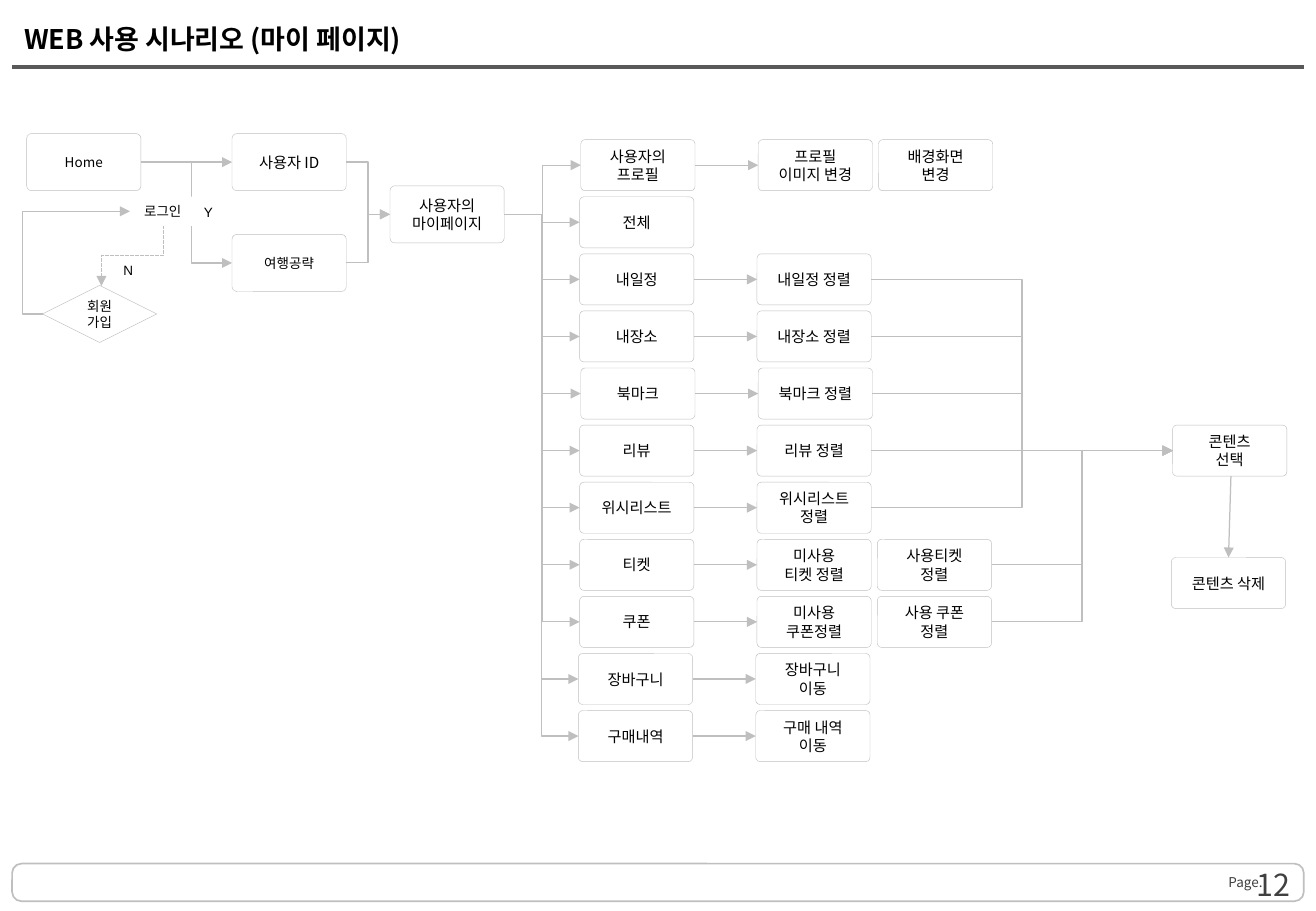
from dataclasses import dataclass

from lxml import etree
from pptx import Presentation
from pptx import util as u
from pptx.dml.color import RGBColor
from pptx.enum import dml, shapes, text
from pptx.oxml.ns import qn

BLACK = RGBColor(0x00, 0x00, 0x00)
WHITE = RGBColor(0xFF, 0xFF, 0xFF)
SILVER = RGBColor(0xBF, 0xBF, 0xBF)
SLATE = RGBColor(0x59, 0x59, 0x59)
CHARCOAL = RGBColor(0x40, 0x40, 0x40)
KOREAN = "Noto Sans CJK KR"
LATIN = "Arial"

BOX_WIDTH, ROW_HEIGHT, STEP_HEIGHT = 0.94, 0.42, 0.47
ROW_TOP, ROW_PITCH = 1.15, 0.47
COLUMNS = (4.77, 6.23, 7.22)
Point = tuple[float, float]
ROUNDED = shapes.MSO_SHAPE.ROUNDED_RECTANGLE


@dataclass
class Box:
    """A node of the flow chart, in inches."""
    label: str
    left: float
    top: float
    height: float = ROW_HEIGHT
    size: float = 9
    kind: shapes.MSO_SHAPE = ROUNDED

    @property
    def middle(self) -> float:
        return self.top + self.height / 2

    @property
    def entry(self) -> Point:
        return self.left, self.middle

    @property
    def exit(self) -> Point:
        return self.left + BOX_WIDTH, self.middle


@dataclass
class Label:
    """A piece of free text, in inches."""
    content: str
    left: float
    top: float
    width: float
    height: float
    size: float = 8
    font: str = LATIN
    color: RGBColor = BLACK
    bold: bool = False
    align: text.PP_ALIGN = text.PP_ALIGN.CENTER
    anchor: text.MSO_ANCHOR = text.MSO_ANCHOR.TOP
    wrap: bool = False
    margin: float | None = None
    fill: RGBColor | None = None


@dataclass
class Row:
    """A menu entry of my page and the steps that follow it."""
    labels: list[str]
    selects: bool = False
    shift: float = 0


ROWS = [
    Row(["사용자의\n프로필", "프로필\n이미지 변경", "배경화면\n변경"], shift=0.01),
    Row(["전체"]),
    Row(["내일정", "내일정 정렬"], True),
    Row(["내장소", "내장소 정렬"], True),
    Row(["북마크", "북마크 정렬"], True, 0.01),
    Row(["리뷰", "리뷰 정렬"], True),
    Row(["위시리스트", "위시리스트 정렬"], True),
    Row(["티켓", "미사용\n티켓 정렬", "사용티켓\n정렬"], True),
    Row(["쿠폰", "미사용 쿠폰정렬", "사용 쿠폰\n정렬"], True),
    Row(["장바구니", "장바구니\n이동"], shift=-0.01),
    Row(["구매내역", "구매 내역\n이동"], shift=-0.01),
]

HOME = Box("Home", 0.22, 1.1, STEP_HEIGHT, 8)
USER_ID = Box("사용자 ID", 1.91, 1.1, STEP_HEIGHT)
GUIDE = Box("여행공략", 1.91, 1.93, STEP_HEIGHT, 8)
MY_PAGE = Box("사용자의\n마이페이지", 3.21, 1.53, STEP_HEIGHT)
SIGN_UP = Box("회원가입", 0.35, 2.35, STEP_HEIGHT, 8, shapes.MSO_SHAPE.FLOWCHART_DECISION)
SELECT = Box("콘텐츠\n선택", 9.65, 3.5)
DELETE = Box("콘텐츠 삭제", 9.64, 4.59)

LABELS = [
    Label("Page.", 10.11, 7.2, 0.46, 0.13, 8, KOREAN, CHARCOAL, align=text.PP_ALIGN.LEFT,
          anchor=text.MSO_ANCHOR.MIDDLE, wrap=True, margin=0),
    Label("12", 8.19, 7.2, 2.53, 0.16, 18, KOREAN, CHARCOAL, align=text.PP_ALIGN.RIGHT,
          anchor=text.MSO_ANCHOR.MIDDLE, wrap=True),
    Label("WEB 사용 시나리오 (마이 페이지)", 0.1, 0.08, 10.63, 0.47, 16, KOREAN, bold=True,
          align=text.PP_ALIGN.LEFT, anchor=text.MSO_ANCHOR.MIDDLE),
    Label("N", 0.91, 2.11, 0.29, 0.24),
    Label("Y", 1.58, 1.63, 0.27, 0.24),
    Label("로그인", 1.07, 1.62, 0.54, 0.24, fill=WHITE),
]


def write(shape, content: str, size: float, font: str = KOREAN, color: RGBColor = BLACK,
          bold: bool = False, align: text.PP_ALIGN = text.PP_ALIGN.CENTER) -> None:
    shape.text_frame.text = content
    for paragraph in shape.text_frame.paragraphs:
        paragraph.alignment = align
        paragraph.font.size = u.Pt(size)
        paragraph.font.name = font
        paragraph.font.bold = bold
        paragraph.font.color.rgb = color
    for latin in list(shape.element.iter(qn("a:latin"))):
        east_asian = etree.Element(qn("a:ea"), typeface=KOREAN)
        latin.addnext(east_asian)


def add_outline(slide, kind: shapes.MSO_SHAPE, left: float, top: float, width: float,
                height: float, line_width: float, corner: float):
    shape = slide.shapes.add_shape(kind, *map(u.Inches, (left, top, width, height)))
    shape.shadow.inherit = False
    shape.line.color.rgb = SILVER
    shape.line.width = u.Pt(line_width)
    if kind == ROUNDED:
        shape.adjustments[0] = corner
    return shape


def add_box(slide, box: Box) -> None:
    shape = add_outline(slide, box.kind, box.left, box.top, BOX_WIDTH, box.height, 0.25, 0.085)
    shape.fill.solid()
    shape.fill.fore_color.rgb = WHITE
    shape.text_frame.vertical_anchor = text.MSO_ANCHOR.MIDDLE
    write(shape, box.label, box.size)


def add_label(slide, label: Label) -> None:
    area = (label.left, label.top, label.width, label.height)
    shape = slide.shapes.add_textbox(*map(u.Inches, area))
    frame = shape.text_frame
    frame.word_wrap = label.wrap
    frame.vertical_anchor = label.anchor
    if label.margin is not None:
        frame.margin_left = frame.margin_right = u.Inches(label.margin)
        frame.margin_top = frame.margin_bottom = u.Inches(label.margin)
    if label.fill is not None:
        shape.fill.solid()
        shape.fill.fore_color.rgb = label.fill
    write(shape, label.content, label.size, label.font, label.color, label.bold, label.align)


def add_line(slide, start: Point, end: Point, elbow: float | None = None,
             color: RGBColor = SILVER, width: float = 0.75, arrow: bool = True):
    kind = shapes.MSO_CONNECTOR.STRAIGHT if elbow is None else shapes.MSO_CONNECTOR.ELBOW
    connector = slide.shapes.add_connector(kind, *map(u.Inches, (*start, *end)))
    connector.line.color.rgb = color
    connector.line.width = u.Pt(width)
    properties = connector.element.spPr
    if arrow:
        etree.SubElement(properties.find(qn("a:ln")), qn("a:tailEnd"), type="triangle")
    etree.SubElement(properties, qn("a:effectLst"))
    if elbow is not None:
        guides = properties.find(qn("a:prstGeom")).get_or_add_avLst()
        etree.SubElement(guides, qn("a:gd"), name="adj1", fmla=f"val {round(elbow * 100000)}")
    return connector


def main() -> None:
    presentation = Presentation()
    presentation.slide_width, presentation.slide_height = u.Inches(10.83), u.Inches(7.5)
    slide = presentation.slides.add_slide(presentation.slide_layouts[6])

    # Page frame
    add_outline(slide, ROUNDED, 0.1, 7.11, 10.63, 0.31, 1, 0.25).fill.background()
    add_line(slide, (0.1, 0.55), (10.73, 0.55), color=SLATE, width=2.25, arrow=False)

    # Login and my page
    for box in (HOME, USER_ID, GUIDE, MY_PAGE, SIGN_UP, SELECT, DELETE):
        add_box(slide, box)
    add_line(slide, SIGN_UP.entry, (1.07, 1.74), elbow=-0.227)
    add_line(slide, HOME.exit, USER_ID.entry)
    add_line(slide, HOME.exit, GUIDE.entry, elbow=0.552)
    for box in (USER_ID, GUIDE):
        add_line(slide, box.exit, MY_PAGE.entry, elbow=0.5)
    rejected = add_line(slide, (0.84, 1.85), (1.34, 2.36), elbow=0.5)
    rejected.line.dash_style = dml.MSO_LINE.SQUARE_DOT
    rejected.element.spPr.find(qn("a:xfrm")).set("rot", "5400000")

    # Menu rows
    for index, row in enumerate(ROWS):
        top = ROW_TOP + index * ROW_PITCH
        boxes = [Box(label, left + row.shift, top) for label, left in zip(row.labels, COLUMNS)]
        for box in boxes:
            add_box(slide, box)
        add_line(slide, MY_PAGE.exit, boxes[0].entry, elbow=0.5)
        if len(boxes) > 1:
            add_line(slide, boxes[0].exit, boxes[1].entry)
        if row.selects:
            add_line(slide, boxes[-1].exit, SELECT.entry, elbow=0.5)

    # Content removal
    add_line(slide, (10.13, 3.92), (10.11, DELETE.top))

    # Titles and captions
    for label in LABELS:
        add_label(slide, label)
    presentation.save("out.pptx")


if __name__ == "__main__":
    main()
